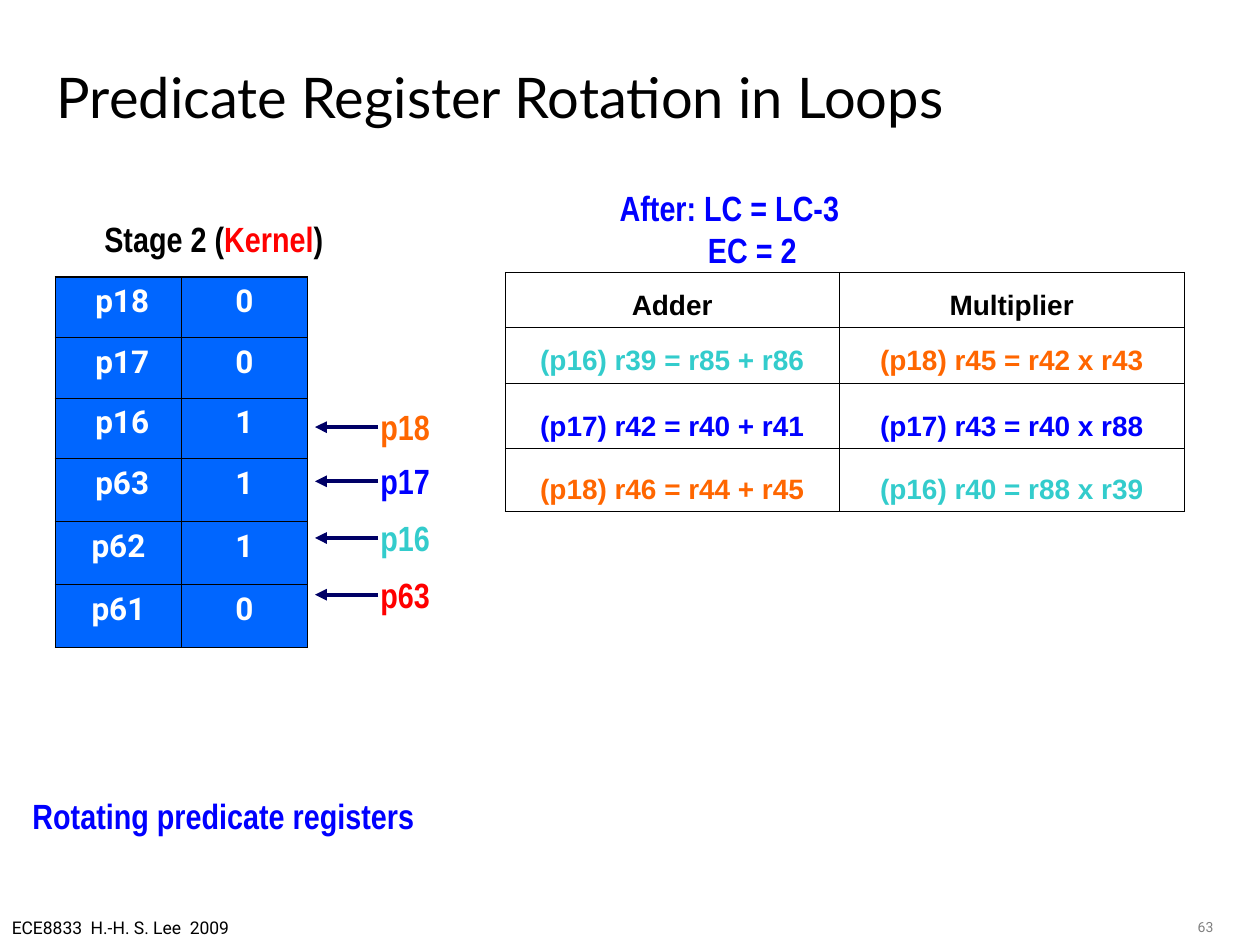
from lxml import etree
from pptx import Presentation
from pptx.dml.color import RGBColor
from pptx.enum.shapes import MSO_CONNECTOR
from pptx.enum.text import MSO_ANCHOR, MSO_AUTO_SIZE, PP_ALIGN
from pptx.oxml.ns import qn
from pptx.util import Inches, Pt

STRAIGHT = MSO_CONNECTOR.STRAIGHT
TOP, MIDDLE, BOTTOM = MSO_ANCHOR.TOP, MSO_ANCHOR.MIDDLE, MSO_ANCHOR.BOTTOM
LEFT, CENTER, RIGHT = PP_ALIGN.LEFT, PP_ALIGN.CENTER, PP_ALIGN.RIGHT
GROW = MSO_AUTO_SIZE.SHAPE_TO_FIT_TEXT

COLORS = {
    "black": "000000", "white": "FFFFFF", "grey": "808080",
    "blue": "0000FF", "red": "FF0000", "orange": "FF6600",
    "teal": "33CCCC", "navy": "000066", "cell": "0066FF",
}
THIN, THICK = 0.45, 1.08

REGISTERS = [("p18", "0"), ("p17", "0"), ("p16", "1"),
             ("p63", "1"), ("p62", "1"), ("p61", "0")]
SHIFTED_REGISTERS = 4
OPERATIONS = [
    [("Adder", "black"), ("Multiplier", "black")],
    [("(p16) r39 = r85 + r86", "teal"), ("(p18) r45 = r42 x r43", "orange")],
    [("(p17) r42 = r40 + r41", "blue"), ("(p17) r43 = r40 x r88", "blue")],
    [("(p18) r46 = r44 + r45", "orange"), ("(p16) r40 = r88 x r39", "teal")],
]
POINTERS = [("p18", "orange", 3.39), ("p17", "blue", 3.82),
            ("p16", "teal", 4.27), ("p63", "red", 4.72)]


def rgb(name):
    return RGBColor.from_string(COLORS[name])


def add_run(paragraph, text, color, size=20, font="Arial Narrow", bold=True):
    run = paragraph.add_run()
    run.text = text
    run.font.size = Pt(size)
    run.font.name = font
    run.font.bold = bold
    run.font.color.rgb = rgb(color)


def add_text(shapes, box, runs, align=LEFT, wrap=False, **style):
    """Add a one-paragraph text box; runs are (text, color) pairs."""
    text_box = shapes.add_textbox(*map(Inches, box))
    frame = text_box.text_frame
    frame.word_wrap = wrap
    if not wrap:
        frame.auto_size = GROW
    paragraph = frame.paragraphs[0]
    paragraph.alignment = align
    for text, color in runs:
        add_run(paragraph, text, color, **style)
    return frame


def add_pointer(slide, label, color, y):
    """Add a register name with an arrow pointing left to its table row."""
    shapes = slide.shapes.add_group_shape().shapes
    add_text(shapes, (2.92, y - 0.22, 0.59, 0.44), [(label, color)])
    arrow = shapes.add_connector(
        STRAIGHT, Inches(3), Inches(y), Inches(2.5), Inches(y))
    arrow.line.color.rgb = rgb("navy")
    arrow.line.width = Pt(2.25)
    etree.SubElement(arrow.line._get_or_add_ln(), qn("a:tailEnd"), type="triangle")
    etree.SubElement(arrow._element.spPr, qn("a:effectLst"))


def set_borders(cell, widths):
    """Draw black borders with the left, right, top and bottom widths."""
    properties = cell._tc.get_or_add_tcPr()
    for side, width in zip("LRTB", widths):
        line = etree.SubElement(properties, qn(f"a:ln{side}"), w=str(Pt(width)))
        fill = etree.SubElement(line, qn("a:solidFill"))
        etree.SubElement(fill, qn("a:srgbClr"), val=COLORS["black"])


def add_plain_table(slide, left, top, widths, heights):
    table = slide.shapes.add_table(
        len(heights), len(widths), Inches(left), Inches(top),
        Inches(sum(widths)), Inches(sum(heights))).table
    table.first_row = table.horz_banding = False
    for column, width in zip(table.columns, widths):
        column.width = Inches(width)
    for row, height in zip(table.rows, heights):
        row.height = Inches(height)
    return table


def add_operation_table(slide):
    table = add_plain_table(slide, 4.01, 2.16, [2.65, 2.74], [0.44, 0.44, 0.52, 0.5])
    for row, operations in enumerate(OPERATIONS):
        for column, (text, color) in enumerate(operations):
            cell = table.cell(row, column)
            set_borders(cell, [THIN] * 4)
            cell.fill.background()
            cell.vertical_anchor = BOTTOM
            paragraph = cell.text_frame.paragraphs[0]
            paragraph.alignment = CENTER
            add_run(paragraph, text, color, size=16, font="Arial")


def add_register_table(slide):
    table = add_plain_table(slide, 0.44, 2.2, [1, 1], [0.48] * 3 + [0.5] * 3)
    last_row = len(REGISTERS) - 1
    for row, values in enumerate(REGISTERS):
        for column, text in enumerate(values):
            cell = table.cell(row, column)
            outer = (column == 0, column == 1, row == 0, row == last_row)
            set_borders(cell, [THICK if edge else THIN for edge in outer])
            cell.fill.solid()
            cell.fill.fore_color.rgb = rgb("cell")
            cell.vertical_anchor = TOP
            if column == 0 and row < SHIFTED_REGISTERS:
                cell.margin_left = Inches(0.16)
            paragraph = cell.text_frame.paragraphs[0]
            paragraph.alignment = CENTER
            add_run(paragraph, text, "white", size=18, font="Roboto")


def set_title(slide, text):
    title = slide.shapes.title
    title.left, title.top, title.width, title.height = map(
        Inches, (0.35, 0.35, 9, 0.83))
    frame = title.text_frame
    frame.vertical_anchor = MIDDLE
    frame.paragraphs[0].alignment = LEFT
    add_run(frame.paragraphs[0], text, "black", size=32, font="Lato", bold=False)


def add_loop_counters(slide):
    frame = add_text(slide.shapes, (4.82, 1.43, 1.94, 0.77),
                     [("After: LC = LC-3", "blue")])
    paragraph = frame.add_paragraph()
    paragraph._p.get_or_add_pPr().set("marL", str(Inches(0.7)))
    add_run(paragraph, "EC = 2", "blue")


def main():
    presentation = Presentation()
    presentation.slide_width = Inches(10)
    presentation.slide_height = Inches(7.5)
    slide = presentation.slides.add_slide(presentation.slide_layouts[5])
    shapes = slide.shapes

    set_title(slide, "Predicate Register Rotation in Loops")
    add_operation_table(slide)
    add_register_table(slide)
    for label, color, y in POINTERS:
        add_pointer(slide, label, color, y)
    add_text(shapes, (0.73, 1.68, 1.94, 0.44),
             [("Stage 2 (", "black"), ("Kernel", "red"), (")", "black")])
    add_loop_counters(slide)
    add_text(shapes, (0.16, 6.26, 3.23, 0.44),
             [("Rotating predicate registers", "blue")])
    add_text(shapes, (-0.02, 7.23, 1.95, 0.27),
             [("ECE8833  H.-H. S. Lee  2009", "black")],
             align=CENTER, size=10, font="Roboto", bold=False)
    add_text(shapes, (9.07, 7.24, 0.66, 0.17), [("63", "grey")],
             align=RIGHT, wrap=True, size=8, font="Roboto", bold=False)
    presentation.save("out.pptx")


if __name__ == "__main__":
    main()
